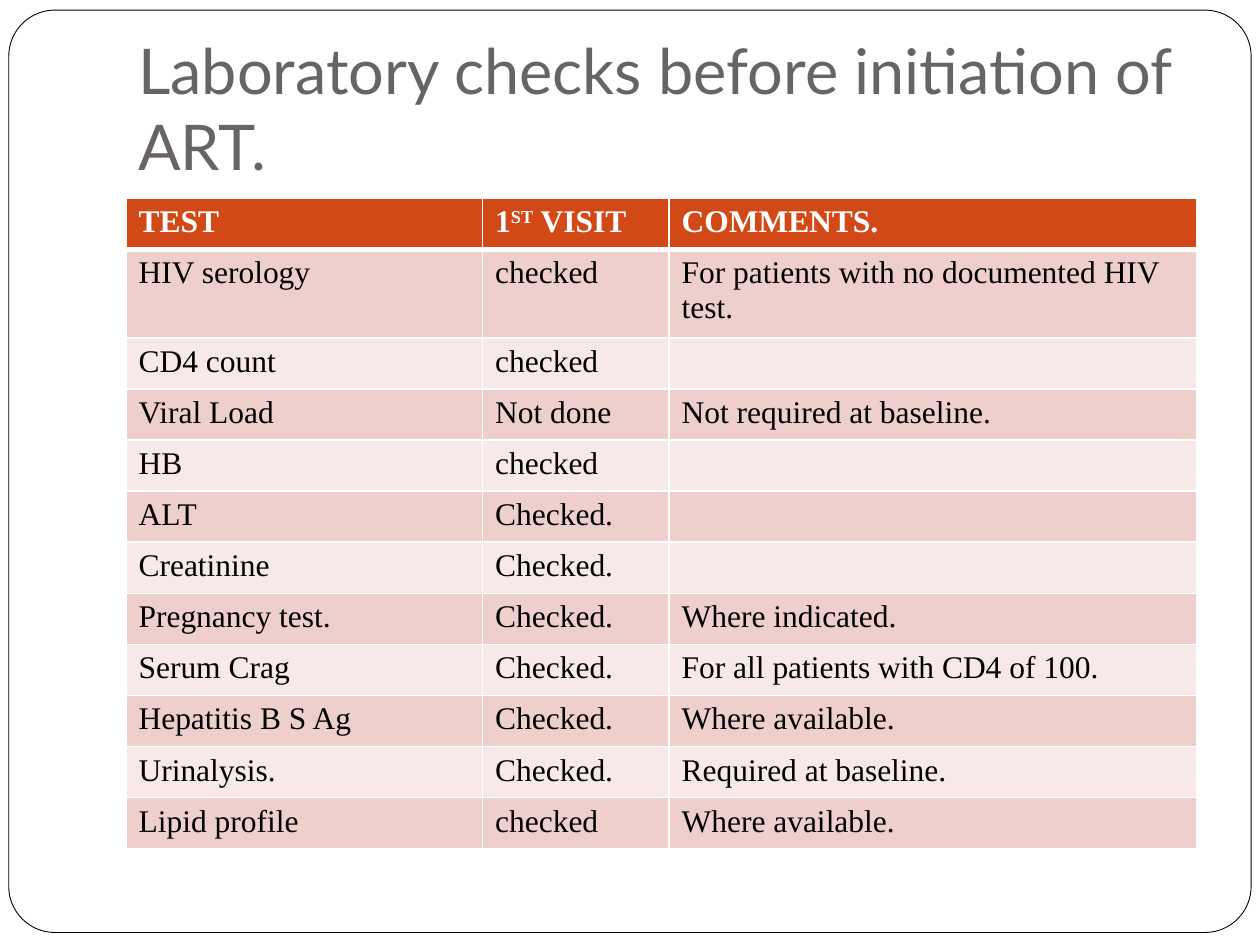
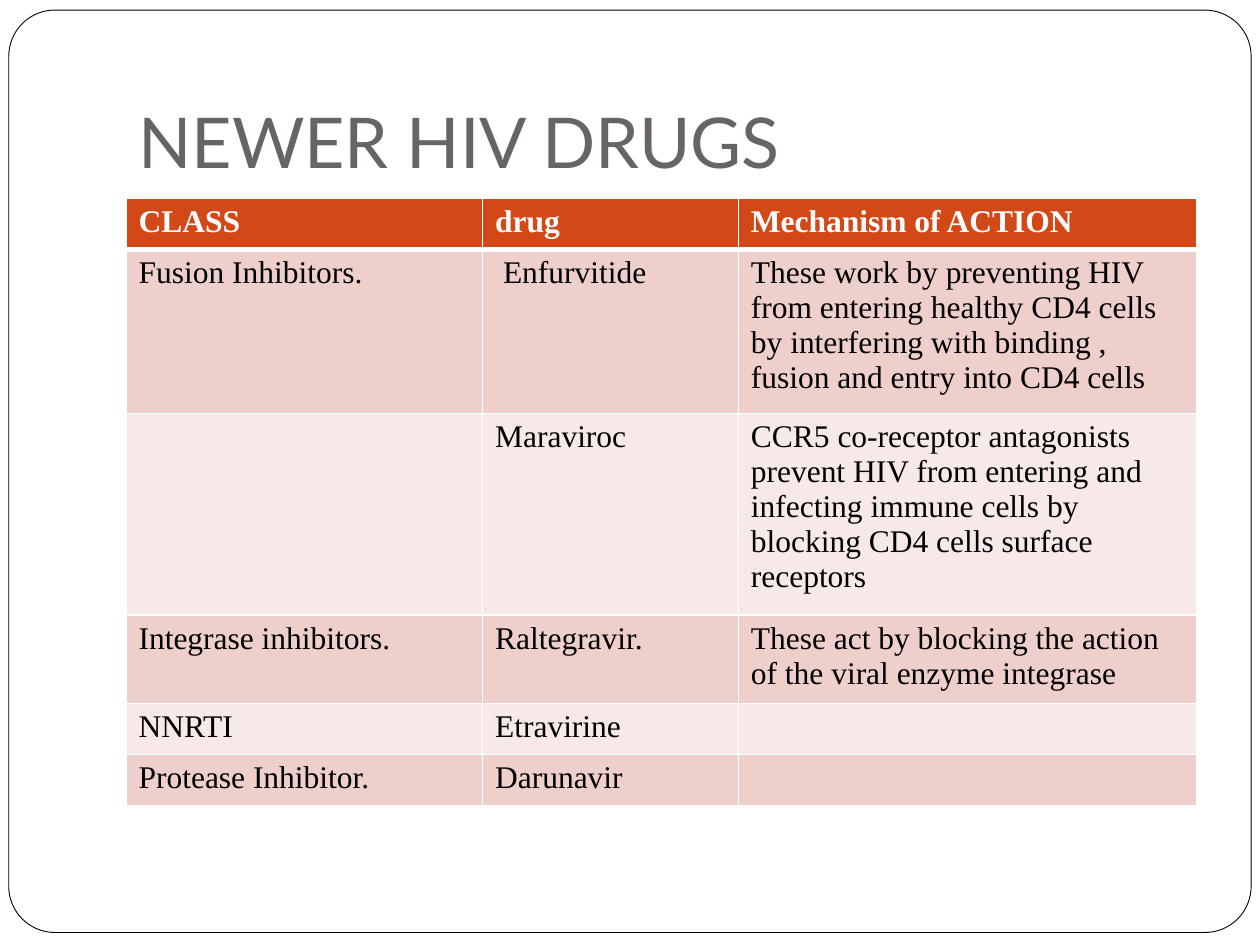
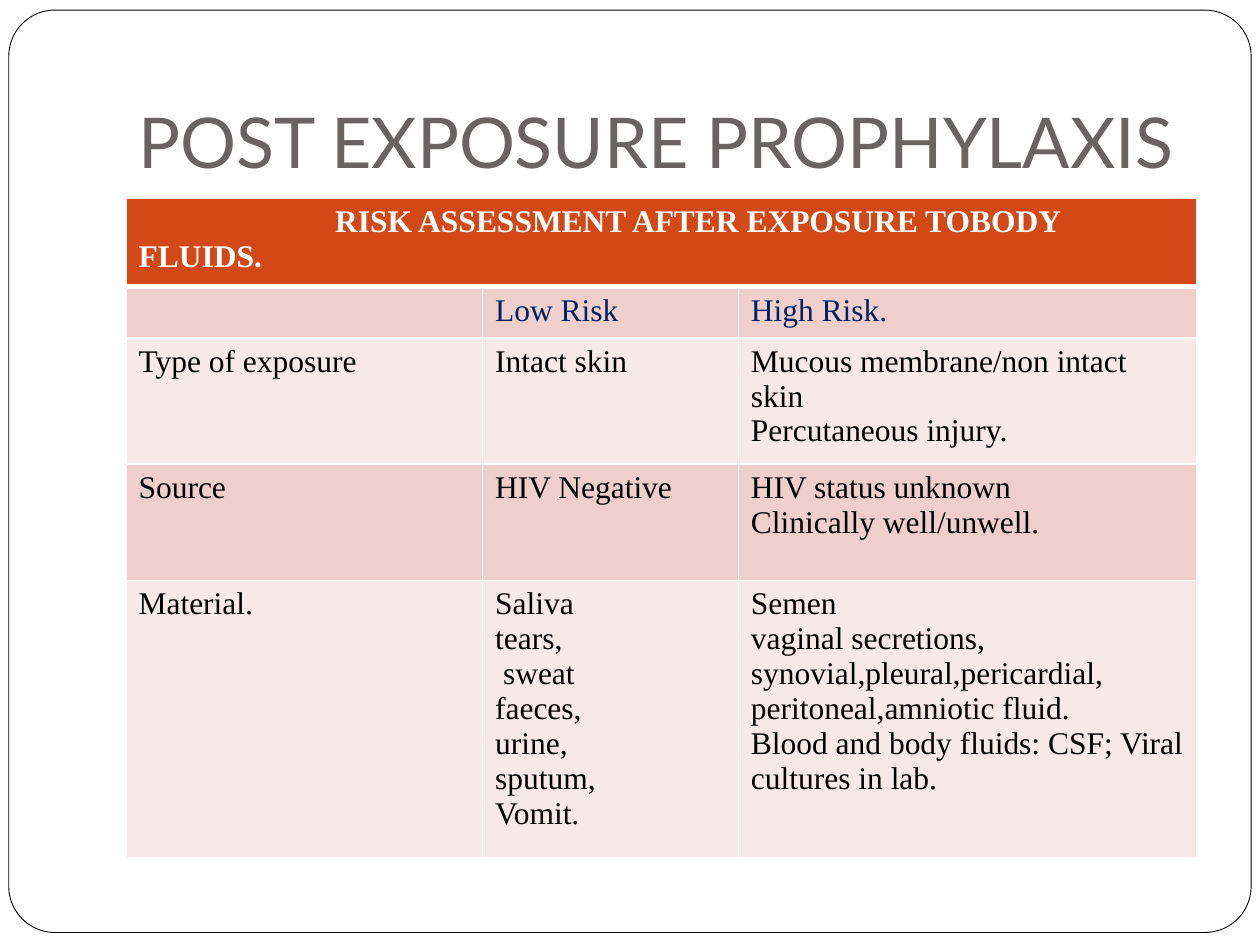
from dataclasses import dataclass
from typing import NamedTuple

from lxml import etree
from pptx import Presentation
from pptx import util as u
from pptx.dml.color import RGBColor
from pptx.enum import shapes, text
from pptx.oxml import ns

# Shared colours
WHITE = RGBColor(0xFF, 0xFF, 0xFF)
BLACK = RGBColor(0x00, 0x00, 0x00)
NAVY = RGBColor(0x00, 0x20, 0x60)
TITLE_GREY = RGBColor(0x69, 0x64, 0x64)
HEADER_ORANGE = RGBColor(0xD3, 0x48, 0x17)
BANDS = (RGBColor(0xEF, 0xCF, 0xCC), RGBColor(0xF7, 0xE9, 0xE8))

# Shared text formats
HEADER_FORMAT = {"name": "Times New Roman", "size": u.Pt(18), "bold": True}
BODY_FORMAT = {**HEADER_FORMAT, "bold": False}
TITLE_FORMAT = {"name": "Lato", "bold": False}
TITLE_FRAME = {
    "word_wrap": True,
    "vertical_anchor": text.MSO_ANCHOR.BOTTOM,
    "margin_left": u.Inches(0.1),
    "margin_right": u.Inches(0.1),
    "margin_top": u.Inches(0.05),
    "margin_bottom": u.Inches(0.1),
}

SLIDE_WIDTH, SLIDE_HEIGHT = u.Inches(10), u.Inches(7.5)
ONE_LINE_ROW, LINE_PITCH, ROW_PADDING = 29.2, 19.8, 7.2  # points
THIN_BORDER, THICK_BORDER = u.Pt(1), u.Pt(3)


class Box(NamedTuple):
    """A place on the slide, in percent of its width and height."""
    left: float
    top: float
    width: float
    height: float

    def lengths(self) -> tuple[int, ...]:
        sides = (SLIDE_WIDTH, SLIDE_HEIGHT) * 2
        return tuple(int(side * share / 100) for side, share in zip(sides, self))


FRAME = Box(0.7, 1.07, 98.6, 97.6)
TITLE = Box(10, 4, 85, 16.67)
TABLE = Box(10, 21, 85, 60)


class Row(NamedTuple):
    cells: tuple[str, ...]  # new lines part paragraphs, ^ encloses superscript
    lines: int = 1
    color: RGBColor = BLACK


@dataclass(frozen=True)
class TableSlide:
    title: str
    title_size: int
    column_weights: tuple[float, ...]
    rows: tuple[Row, ...]
    header_indent: float = 0  # a spanning header has an indented first line


DRUG_COLUMNS = (2.83, 2.03, 3.64)

SLIDES = (
    TableSlide("Laboratory checks before initiation of ART.", 36, (2.83, 1.48, 4.19), (
        Row(("TEST", "1^ST^ VISIT", "COMMENTS.")),
        Row(("HIV serology", "checked", "For patients with no documented HIV test."), 2),
        Row(("CD4 count", "checked", "")),
        Row(("Viral Load", "Not done", "Not required at baseline.")),
        Row(("HB", "checked", "")),
        Row(("ALT", "Checked.", "")),
        Row(("Creatinine", "Checked.", "")),
        Row(("Pregnancy test.", "Checked.", "Where indicated.")),
        Row(("Serum Crag", "Checked.", "For all patients with CD4 of 100.")),
        Row(("Hepatitis B S Ag", "Checked.", "Where available.")),
        Row(("Urinalysis.", "Checked.", "Required at baseline.")),
        Row(("Lipid profile", "checked", "Where available.")),
    )),
    TableSlide("NEWER HIV DRUGS", 40, DRUG_COLUMNS, (
        Row(("CLASS", "drug", "Mechanism of ACTION")),
        Row(("Fusion Inhibitors.", " Enfurvitide",
             "These work by preventing HIV from entering healthy CD4 cells by "
             "interfering with binding , fusion and entry into CD4 cells"), 4),
        Row(("", "Maraviroc",
             "CCR5 co-receptor antagonists prevent HIV from entering and "
             "infecting immune cells by blocking CD4 cells surface receptors"), 5),
        Row(("Integrase inhibitors.", "Raltegravir.",
             "These act by blocking the action of the viral enzyme integrase"), 2),
        Row(("NNRTI", "Etravirine", "")),
        Row(("Protease Inhibitor.", "Darunavir", "")),
    )),
    TableSlide("POST EXPOSURE PROPHYLAXIS", 40, DRUG_COLUMNS, (
        Row(("RISK ASSESSMENT AFTER EXPOSURE TOBODY FLUIDS.",), 2),
        Row(("", "Low Risk", "High Risk."), color=NAVY),
        Row(("Type of exposure", "Intact skin",
             "Mucous membrane/non intact skin\nPercutaneous injury."), 3),
        Row(("Source", "HIV Negative",
             "HIV status unknown\nClinically well/unwell."), 3),
        Row(("Material.",
             "Saliva\ntears,\n sweat\nfaeces,\nurine,\nsputum,\nVomit.",
             "Semen\nvaginal secretions,\nsynovial,pleural,pericardial,\n"
             "peritoneal,amniotic fluid.\n"
             "Blood and body fluids: CSF; Viral cultures in lab."), 7),
    ), header_indent=1.56),
)


def set_all(target, values: dict) -> None:
    for name, value in values.items():
        setattr(target, name, value)


def write(frame, content: str, font_format: dict, color: RGBColor) -> None:
    for number, line in enumerate(content.split("\n")):
        paragraph = frame.add_paragraph() if number else frame.paragraphs[0]
        for part_number, part in enumerate(line.split("^")):
            if not part:
                continue
            run = paragraph.add_run()
            run.text = part
            set_all(run.font, font_format)
            run.font.color.rgb = color
            if part_number % 2:
                run.font._element.set("baseline", "30000")


def draw_frame(slide) -> None:
    shape = slide.shapes.add_shape(shapes.MSO_SHAPE.ROUNDED_RECTANGLE, *FRAME.lengths())
    shape.adjustments[0] = 0.05
    shape.shadow.inherit = False
    shape.fill.solid()
    shape.fill.fore_color.rgb = WHITE
    shape.line.color.rgb = BLACK
    shape.line.width = u.Pt(0.5)


def draw_title(slide, title: str, size: int) -> None:
    frame = slide.shapes.add_textbox(*TITLE.lengths()).text_frame
    set_all(frame, TITLE_FRAME)
    write(frame, title, {**TITLE_FORMAT, "size": u.Pt(size)}, TITLE_GREY)


def set_borders(cell, widths: dict[str, int]) -> None:
    properties = cell._tc.get_or_add_tcPr()
    for position, (side, width) in enumerate(widths.items()):
        line = etree.Element(ns.qn(f"a:ln{side}"), w=str(int(width)))
        fill = etree.SubElement(line, ns.qn("a:solidFill"))
        etree.SubElement(fill, ns.qn("a:srgbClr"), val=str(WHITE))
        properties.insert(position, line)


def draw_table(slide, content: TableSlide) -> None:
    weights = content.column_weights
    table = slide.shapes.add_table(len(content.rows), len(weights), *TABLE.lengths()).table
    table_width = TABLE.lengths()[2]
    for column, weight in zip(table.columns, weights):
        column.width = int(table_width * weight / sum(weights))

    for number, row in enumerate(content.rows):
        is_header = number == 0
        height = max(ONE_LINE_ROW, ROW_PADDING + LINE_PITCH * row.lines)
        table.rows[number].height = u.Pt(height)
        for cell in table.rows[number].cells:
            cell.fill.solid()
            cell.fill.fore_color.rgb = HEADER_ORANGE if is_header else BANDS[(number - 1) % 2]
            set_borders(cell, {
                "L": THIN_BORDER,
                "R": THIN_BORDER,
                "T": THICK_BORDER if number == 1 else THIN_BORDER,
                "B": THICK_BORDER if is_header else THIN_BORDER,
            })
        for column_number, cell_text in enumerate(row.cells):
            write(table.cell(number, column_number).text_frame, cell_text,
                  HEADER_FORMAT if is_header else BODY_FORMAT,
                  WHITE if is_header else row.color)

    # Spanning header
    if content.header_indent:
        header = table.cell(0, 0)
        header.merge(table.cell(0, len(weights) - 1))
        properties = header.text_frame.paragraphs[0]._p.get_or_add_pPr()
        properties.set("indent", str(int(u.Inches(content.header_indent))))


def main() -> None:
    presentation = Presentation()
    presentation.slide_width, presentation.slide_height = SLIDE_WIDTH, SLIDE_HEIGHT
    for content in SLIDES:
        slide = presentation.slides.add_slide(presentation.slide_layouts[6])
        draw_frame(slide)
        draw_title(slide, content.title, content.title_size)
        draw_table(slide, content)
    presentation.save("out.pptx")


if __name__ == "__main__":
    main()
